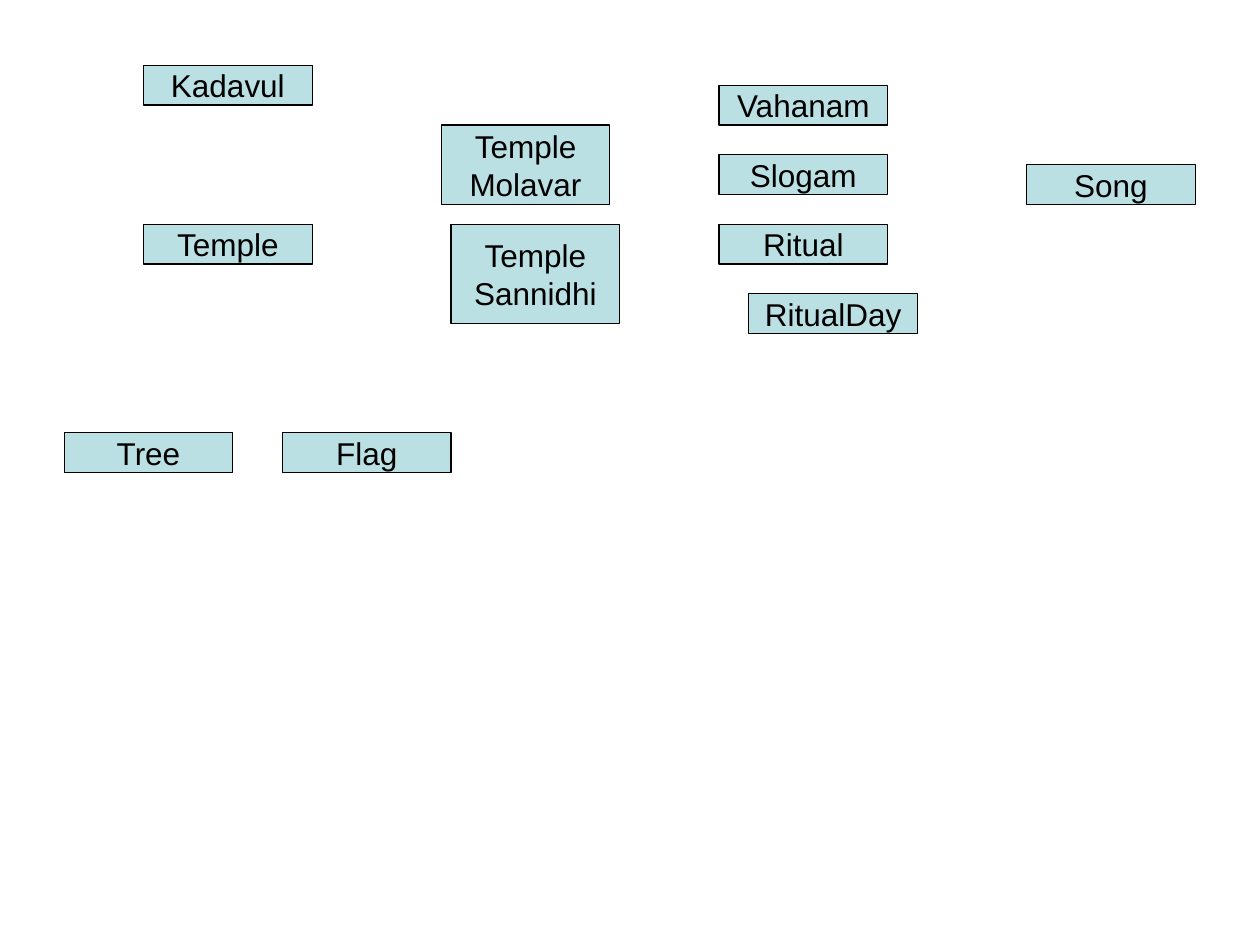
from pptx import Presentation
from pptx import util as u
from pptx.dml.color import RGBColor
from pptx.enum import shapes, text

PALE_TEAL = RGBColor(0xBB, 0xE0, 0xE3)
BLACK = RGBColor(0, 0, 0)

# The entities sit on a 2 mm grid that starts at the top left entity corner.
GRID = u.Mm(2)
LEFT, TOP = u.Inches(0.51), u.Inches(0.52)
ENTITY_COLUMNS, ENTITY_ROWS = 17, 4

# name, column, row, height in rows
ENTITIES = [
    ("Temple", 8, 16, ENTITY_ROWS),
    ("Temple\nMolavar", 38, 6, 8),
    ("Tree", 0, 37, ENTITY_ROWS),
    ("Flag", 22, 37, ENTITY_ROWS),
    ("Vahanam", 66, 2, ENTITY_ROWS),
    ("Slogam", 66, 9, ENTITY_ROWS),
    ("Ritual", 66, 16, ENTITY_ROWS),
    ("Song", 97, 10, ENTITY_ROWS),
    ("Kadavul", 8, 0, ENTITY_ROWS),
    ("Temple\nSannidhi", 39, 16, 10),
    ("RitualDay", 69, 23, ENTITY_ROWS),
]


def add_entity(slide, name, column, row, rows):
    entity = slide.shapes.add_shape(
        shapes.MSO_SHAPE.RECTANGLE,
        LEFT + column * GRID, TOP + row * GRID,
        ENTITY_COLUMNS * GRID, rows * GRID)
    entity.shadow.inherit = False
    entity.fill.solid()
    entity.fill.fore_color.rgb = PALE_TEAL
    entity.line.color.rgb = BLACK
    entity.line.width = u.Pt(0.75)

    label = entity.text_frame
    label.text = name
    label.word_wrap = False
    label.vertical_anchor = text.MSO_ANCHOR.MIDDLE
    for line in label.paragraphs:
        line.alignment = text.PP_ALIGN.CENTER
        line.font.name = "Arial"
        line.font.size = u.Pt(18)
        line.font.color.rgb = BLACK


def main():
    presentation = Presentation()
    presentation.slide_width = u.Inches(10)
    presentation.slide_height = u.Inches(7.5)
    slide = presentation.slides.add_slide(presentation.slide_layouts[6])
    for entity in ENTITIES:
        add_entity(slide, *entity)
    presentation.save("out.pptx")


if __name__ == "__main__":
    main()
